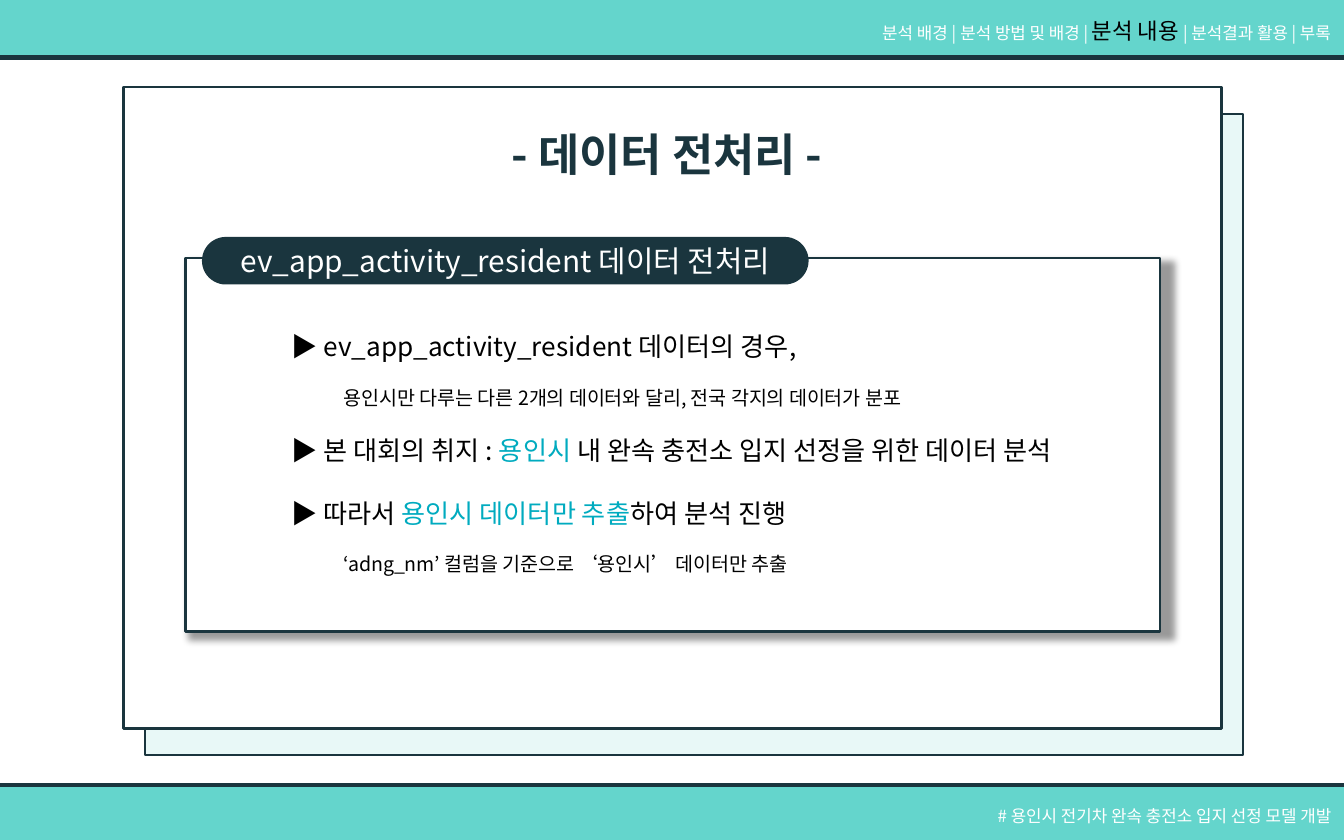
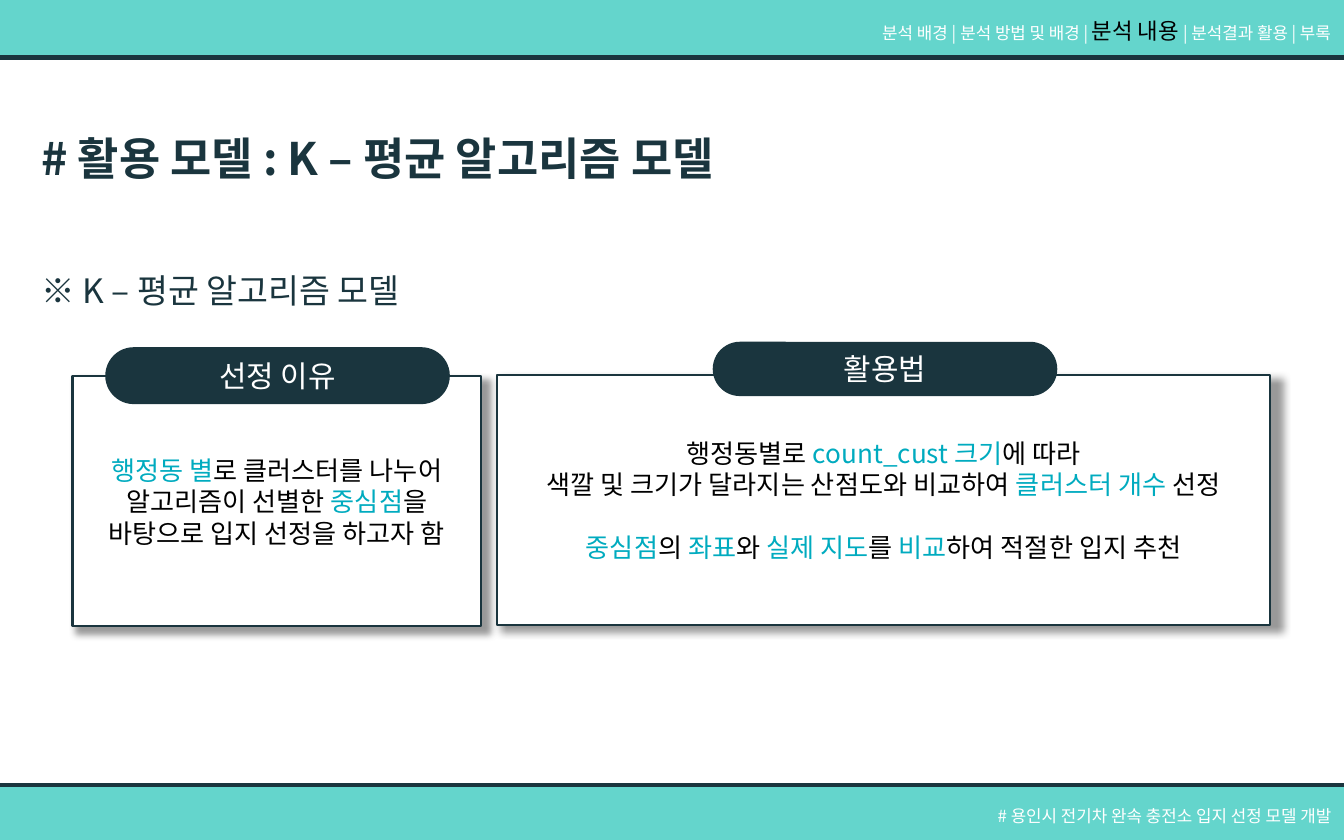
from dataclasses import dataclass
from typing import NamedTuple, Optional

from lxml.etree import SubElement
from pptx import Presentation
from pptx.dml.color import RGBColor
from pptx.enum.shapes import MSO_SHAPE
from pptx.enum.text import MSO_ANCHOR, MSO_AUTO_SIZE, PP_ALIGN
from pptx.oxml.ns import qn
from pptx.util import Inches, Pt

COLS = 100
ROWS = 62.5
UNIT = Inches(10) / COLS


@dataclass(frozen=True)
class Theme:
    font: str = "Noto Sans CJK KR"
    navy: str = "1A353E"
    band: str = "31C7BB"
    mint: str = "65D5CC"
    accent: str = "00ABBF"
    black: str = "000000"
    white: str = "FFFFFF"
    title: float = 24
    subtitle: float = 18
    label: float = 16
    body: float = 14
    active: float = 12
    note: float = 10.5
    small: float = 9
    band_line: float = 2.5
    frame_line: float = 1.25
    label_line: float = 1


T = Theme()


class Box(NamedTuple):
    x: float
    y: float
    w: float
    h: float


class Span(NamedTuple):
    text: str
    color: str = T.black
    size: float = T.body
    bold: bool = False


@dataclass(frozen=True)
class Para:
    spans: list[Span]
    align: PP_ALIGN = PP_ALIGN.CENTER
    spacing: Optional[float] = None
    before: float = 0


@dataclass(frozen=True)
class Card:
    box: Box
    tab: Box
    label: str
    paras: tuple[Para, ...] = ()


class Point(NamedTuple):
    y: float
    w: float
    spans: list[Span]
    note: str = ""


def hi(text: str) -> Span:
    return Span(text, T.accent)


def small(text: str, size: float = T.small) -> Span:
    return Span(text, T.white, size)


def heading(text: str) -> Span:
    return Span(text, T.navy, T.title, True)


BREAK = Span("\n")
BANDS = [Box(-2.2, -2.3, 104.4, 6.6), Box(-3.1, 58.4, 104.4, 5.7)]
NAV = [small("분석 배경 |"), small(" ", 10), small("분석 방법 및 배경 | "),
       Span("분석 내용", T.black, T.active), small(" | 분석결과 활용 | 부록")]
FOOTER = [small("# 용인시 전기차 완속 충전소 입지 선정 모델 개발")]

PANEL = Card(Box(13.8, 19.2, 72.5, 27.8), Box(15.1, 17.7, 45, 3.4),
             "ev_app_activity_resident 데이터 전처리")
POINTS = [
    Point(24.1, 58, [Span("▶ ev_app_activity_resident 데이터의 경우,")],
          "용인시만 다루는 다른 2개의 데이터와 달리, 전국 각지의 데이터가 분포"),
    Point(31.8, 60.1, [Span("▶ 본 대회의 취지 : "), hi("용인시"),
                       Span(" 내 완속 충전소 입지 선정을 위한 데이터 분석")]),
    Point(36.5, 60.1, [Span("▶ 따라서 "), hi("용인시 데이터만 추출"), Span("하여 분석 진행")],
          "‘adng_nm’ 컬럼을 기준으로 ‘용인시’ 데이터만 추출"),
]
CARDS = [
    Card(Box(5.4, 28, 30.4, 18.6), Box(7.9, 25.9, 25.5, 4.1), "선정 이유", (
        Para([hi("행정동 별"), Span("로 클러스터를 나누어")]),
        Para([Span("알고리즘이 선별한 "), hi("중심점"), Span("을")]),
        Para([Span("바탕으로 입지 선정을 하고자 함")]),
    )),
    Card(Box(37, 27.9, 57.5, 18.6), Box(53.1, 25.5, 25.5, 3.9), "활용법", (
        Para([Span("행정동별로 "), hi("count_cust 크기"), Span("에 따라"), BREAK,
              Span("색깔 및 크기가 달라지는 산점도와 비교하여 "),
              hi("클러스터 개수"), Span(" 선정")]),
        Para([hi("중심점"), Span("의 "), hi("좌표"), Span("와 "), hi("실제 지도"),
              Span("를 "), hi("비교"), Span("하여 적절한 입지 추천")], before=17),
    )),
]


def place(box: Box) -> list[int]:
    return [round(v * UNIT) for v in box]


def rgb(color: str) -> RGBColor:
    return RGBColor.from_string(color)


def write(tf, paras) -> None:
    tf.word_wrap = True
    for i, para in enumerate(paras):
        p = tf.add_paragraph() if i else tf.paragraphs[0]
        p.alignment = para.align
        if para.spacing:
            p.line_spacing = para.spacing
        if para.before:
            p.space_before = Pt(para.before)
        for span in para.spans:
            if span == BREAK:
                p.add_line_break()
                continue
            r = p.add_run()
            r.text = span.text
            r.font.size = Pt(span.size)
            r.font.bold = span.bold
            r.font.color.rgb = rgb(span.color)
            r.font.name = T.font
            SubElement(r.font._element, qn("a:ea")).set("typeface", T.font)


def add_text(s, box: Box, para: Para) -> None:
    tf = s.shapes.add_textbox(*place(box)).text_frame
    tf.auto_size = MSO_AUTO_SIZE.SHAPE_TO_FIT_TEXT
    write(tf, [para])


def add_block(s, box: Box, fill: str, line: float, kind=MSO_SHAPE.RECTANGLE,
              opacity: int = 100):
    sp = s.shapes.add_shape(kind, *place(box))
    sp.shadow.inherit = False
    sp.fill.solid()
    sp.fill.fore_color.rgb = rgb(fill)
    if opacity < 100:
        color = sp._element.spPr.find(qn("a:solidFill"))[0]
        SubElement(color, qn("a:alpha")).set("val", str(opacity * 1000))
    sp.line.color.rgb = rgb(T.navy)
    sp.line.width = Pt(line)
    return sp


def cast_shadow(sp) -> None:
    effects = sp._element.spPr.find(qn("a:effectLst"))
    shadow = SubElement(effects, qn("a:outerShdw"), blurRad=str(Pt(4)), dist=str(Pt(3)),
                        dir=str(45 * 60000), sx="101000", sy="101000", algn="tl",
                        rotWithShape="0")
    color = SubElement(shadow, qn("a:srgbClr"), val=T.black)
    SubElement(color, qn("a:alpha"), val="40000")


def add_card(s, card: Card) -> None:
    sp = add_block(s, card.box, T.white, T.frame_line)
    cast_shadow(sp)
    if card.paras:
        sp.text_frame.vertical_anchor = MSO_ANCHOR.MIDDLE
        write(sp.text_frame, card.paras)
    tab = add_block(s, card.tab, T.navy, T.label_line, MSO_SHAPE.ROUNDED_RECTANGLE)
    tab.adjustments[0] = 0.5
    tab.text_frame.vertical_anchor = MSO_ANCHOR.MIDDLE
    write(tab.text_frame, [Para([Span(card.label, T.white, T.label)])])


def add_page(prs):
    s = prs.slides.add_slide(prs.slide_layouts[6])
    for band in BANDS:
        add_block(s, band, T.band, T.band_line, opacity=75)
    add_text(s, Box(58.2, -0.2, 41.8, 3.7), Para(NAV, PP_ALIGN.RIGHT, 1.5))
    add_text(s, Box(67.4, 58.7, 32.6, 3), Para(FOOTER, PP_ALIGN.RIGHT, 1.5))
    return s


def preprocessing(prs) -> None:
    s = add_page(prs)
    add_block(s, Box(10.8, 8.5, 81.7, 47.7), T.mint, T.frame_line, opacity=15)
    add_block(s, Box(9.2, 6.5, 81.7, 47.7), T.white, T.frame_line)
    add_text(s, Box(36.4, 6.9, 27.2, 6.4),
             Para([heading("- 데이터 전처리 - ")], spacing=1.5))
    add_card(s, PANEL)
    for point in POINTS:
        add_text(s, Box(20.7, point.y, point.w, 3.4), Para(point.spans, PP_ALIGN.JUSTIFY))
        if point.note:
            add_text(s, Box(24.6, point.y + 4.1, 58, 2.8),
                     Para([Span(point.note, size=T.note)], PP_ALIGN.JUSTIFY))


def model(prs) -> None:
    s = add_page(prs)
    for card in CARDS:
        add_card(s, card)
    add_text(s, Box(2.1, 7.2, 53.4, 6.4),
             Para([heading("# 활용 모델 : K – 평균 알고리즘 모델")], PP_ALIGN.LEFT, 1.5))
    add_text(s, Box(2.1, 19.6, 35, 4),
             Para([Span("※ K – 평균 알고리즘 모델", T.navy, T.subtitle)], PP_ALIGN.LEFT))


def main() -> None:
    """Build the data preprocessing and model slides."""
    prs = Presentation()
    prs.slide_width = round(COLS * UNIT)
    prs.slide_height = round(ROWS * UNIT)
    preprocessing(prs)
    model(prs)
    prs.save("out.pptx")


if __name__ == "__main__":
    main()
